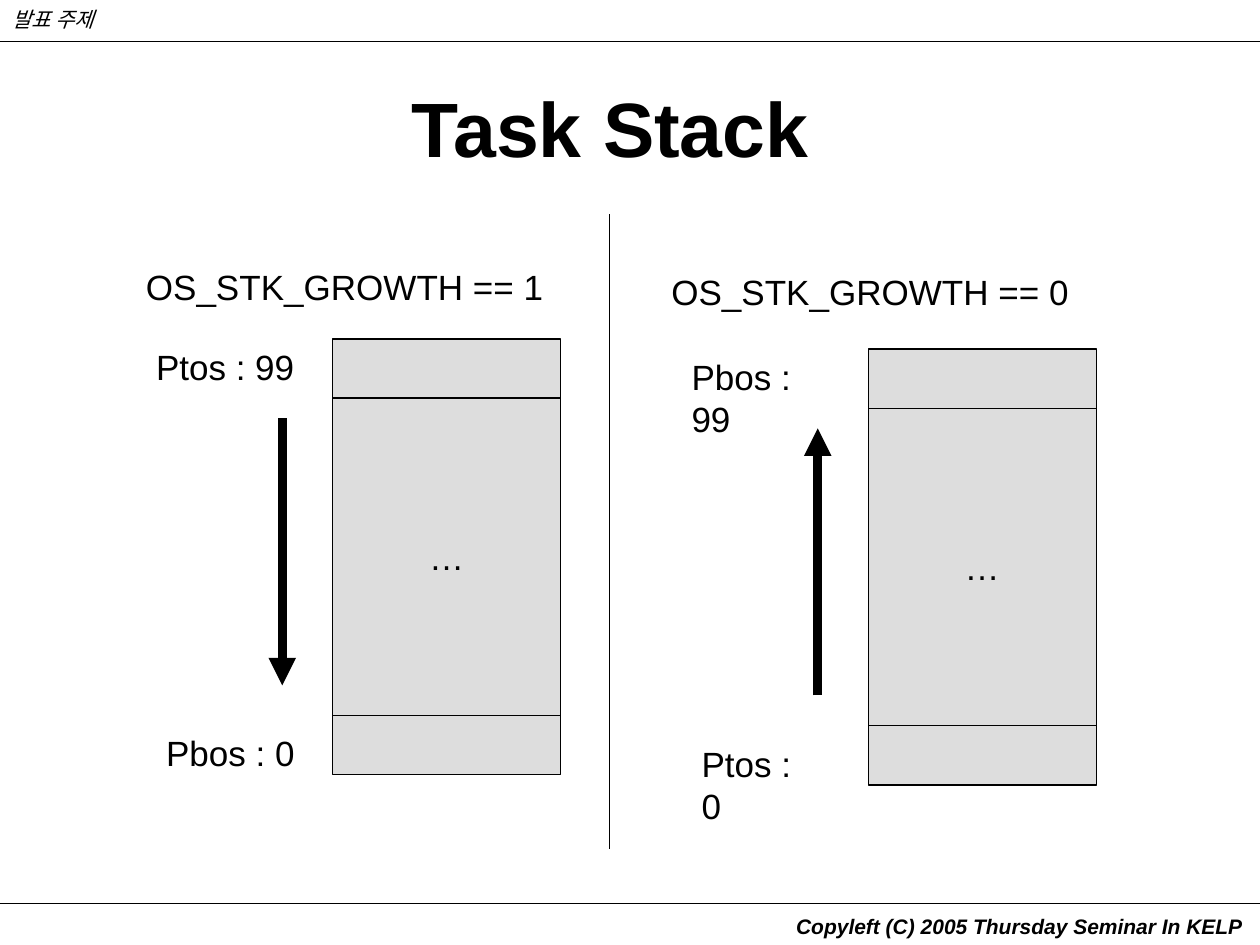
from lxml.etree import SubElement
from pptx import Presentation
from pptx.dml.color import RGBColor
from pptx.enum.shapes import MSO_CONNECTOR, MSO_SHAPE
from pptx.enum.text import MSO_ANCHOR, MSO_AUTO_SIZE, PP_ALIGN
from pptx.oxml.ns import qn
from pptx.util import Inches, Pt

FONT = "Arial"
BLACK = "000000"
GRAY = "DDDDDD"


def color(hex_value):
    """Turn a hex string into a colour."""
    return RGBColor.from_string(hex_value)


def style_text(frame, text, size, bold=False, italic=False, align=PP_ALIGN.LEFT):
    """Write one formatted paragraph into a text frame."""
    frame.text = text
    paragraph = frame.paragraphs[0]
    paragraph.alignment = align
    font = paragraph.runs[0].font
    font.name, font.size = FONT, Pt(size)
    font.bold, font.italic = bold, italic
    font.color.rgb = color(BLACK)


def add_label(slide, box, text, size=20, wrap=False, **style):
    """Add a text box at the given left, top, width and height."""
    frame = slide.shapes.add_textbox(*map(Inches, box)).text_frame
    frame.word_wrap = wrap
    frame.auto_size = MSO_AUTO_SIZE.SHAPE_TO_FIT_TEXT
    style_text(frame, text, size, **style)
    return frame


def add_line(slide, start, end, weight=0.75, arrow=False):
    """Draw a straight black line, with an arrowhead at its end if asked."""
    ends = map(Inches, (*start, *end))
    connector = slide.shapes.add_connector(MSO_CONNECTOR.STRAIGHT, *ends)
    connector.line.color.rgb = color(BLACK)
    connector.line.width = Pt(weight)
    if arrow:
        SubElement(connector.line._get_or_add_ln(), qn("a:tailEnd"), type="triangle")
    SubElement(connector._element.spPr, qn("a:effectLst"))


def add_frame(slide, width, height):
    """Add the running header and footer with their rules."""
    for y in (0.33, height - 0.33):
        add_line(slide, (0, y), (width, y))
    add_label(slide, (0, 0, 3.5, 0.3), "발표 주제", 12, wrap=True, italic=True)
    add_label(slide, (width - 3.78, height - 0.3, 3.78, 0.3),
              "Copyleft (C) 2005 Thursday Seminar In KELP", 12,
              wrap=True, bold=True, italic=True)


def add_title(slide, box, text):
    """Add the centred slide title."""
    frame = add_label(slide, box, text, 44, wrap=True, bold=True,
                      align=PP_ALIGN.CENTER)
    frame.auto_size = MSO_AUTO_SIZE.NONE
    frame.margin_top = Inches(0.12)


def add_stack(slide, box, top_label, bottom_label, grows_down):
    """Draw a stack with its end labels and growth arrow beside the box."""
    left, top, width, height = box
    stack = slide.shapes.add_shape(MSO_SHAPE.RECTANGLE, *map(Inches, box))
    stack.shadow.inherit = False
    stack.fill.solid()
    stack.fill.fore_color.rgb = color(GRAY)
    stack.line.color.rgb = color(BLACK)
    stack.line.width = Pt(0.75)
    stack.text_frame.word_wrap = False
    stack.text_frame.vertical_anchor = MSO_ANCHOR.MIDDLE
    style_text(stack.text_frame, "…", 20, align=PP_ALIGN.CENTER)

    for y in (top + 0.47, top + height - 0.47):
        add_line(slide, (left, y), (left + width, y))

    text, label_width = top_label
    add_label(slide, (left - 1.5, top, label_width, 0.44), text)
    text, label_width = bottom_label
    add_label(slide, (left - 1.42, top + 3.07, label_width, 0.44), text)

    upper, lower = (left - 0.4, top + 0.63), (left - 0.4, top + 2.75)
    start, end = (upper, lower) if grows_down else (lower, upper)
    add_line(slide, start, end, weight=5.25, arrow=True)


def main():
    """Build and save the task stack slide."""
    deck = Presentation()
    deck.slide_width, deck.slide_height = Inches(10), Inches(7.5)
    slide = deck.slides.add_slide(deck.slide_layouts[6])
    add_frame(slide, 10, 7.5)
    add_title(slide, (0.43, 0.52, 9, 1.25), "Task Stack ")
    add_label(slide, (1.06, 2.06, 3.43, 0.44), "OS_STK_GROWTH == 1")
    add_label(slide, (5.23, 2.1, 3.43, 0.44), "OS_STK_GROWTH == 0")
    add_stack(slide, (2.64, 2.69, 1.81, 3.46),
              ("Ptos : 99", 1.3), ("Pbos : 0", 1.22), grows_down=True)
    add_stack(slide, (6.89, 2.77, 1.81, 3.46),
              ("Pbos : 99", 1.37), ("Ptos : 0", 1.14), grows_down=False)
    add_line(slide, (4.84, 1.7), (4.84, 6.74))
    deck.save("out.pptx")


if __name__ == "__main__":
    main()
